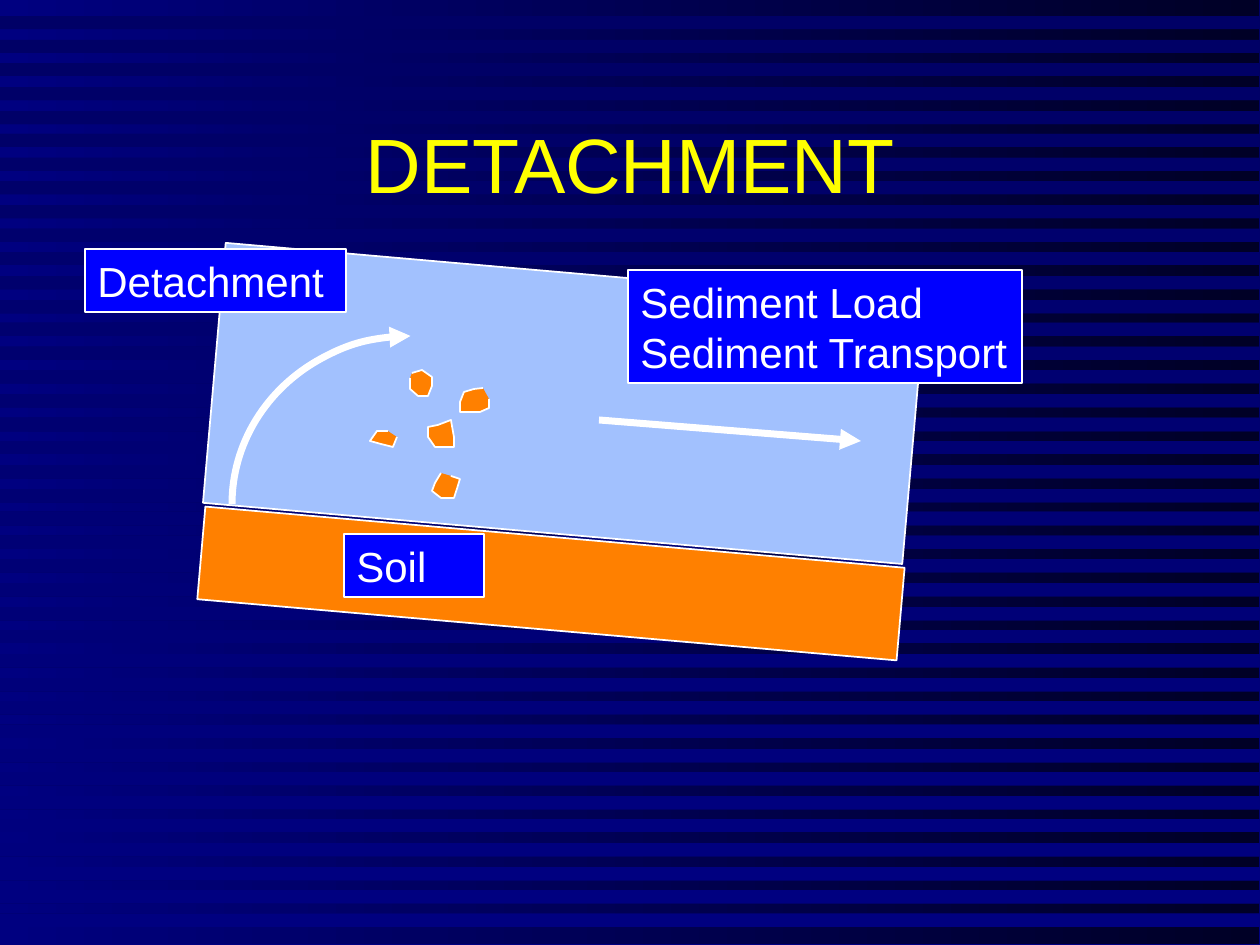
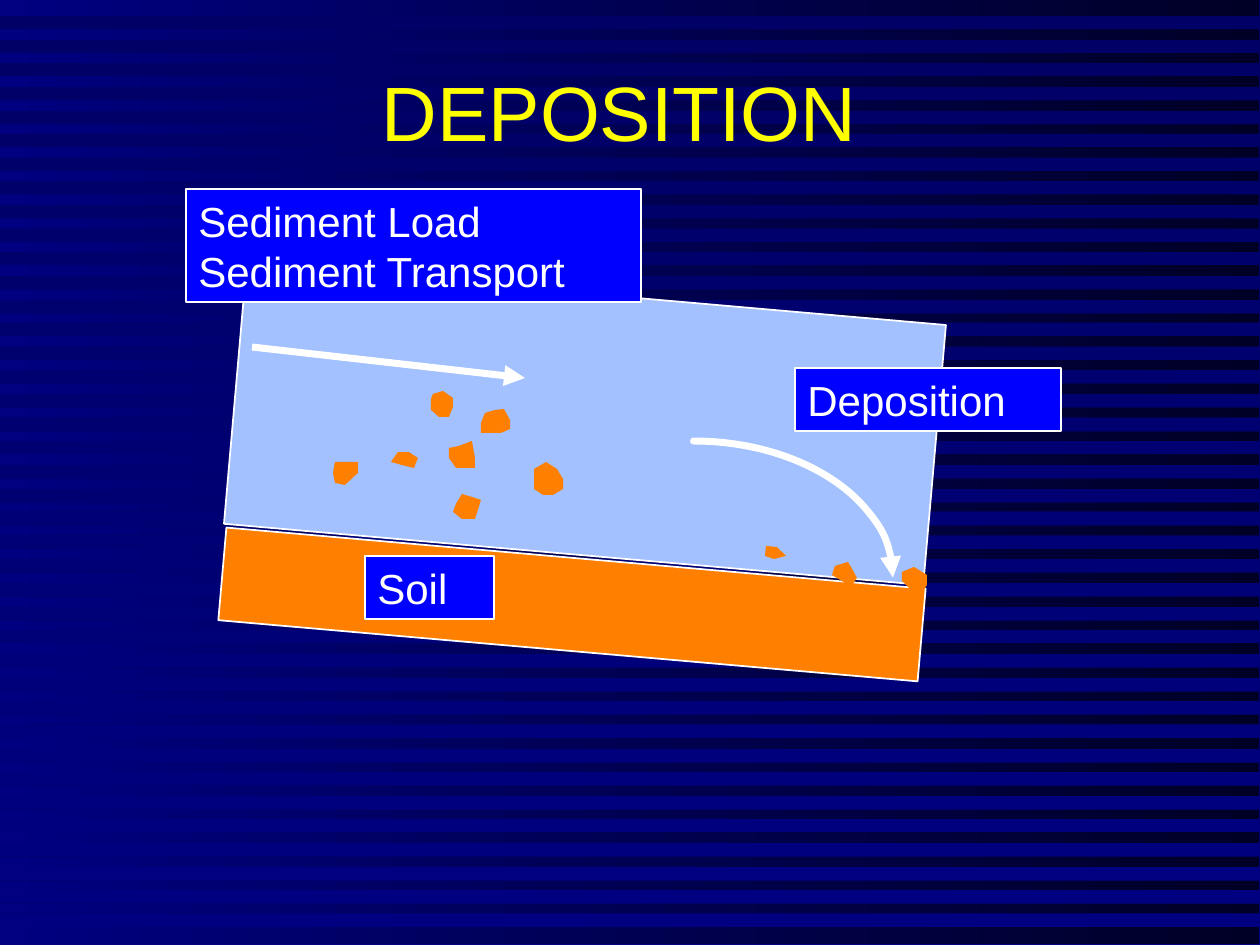
import pptx
import pptx.dml.color
import pptx.enum.shapes
import pptx.enum.text
import pptx.oxml
import pptx.oxml.ns
import pptx.util

# Shared look
PAGE_WIDTH, PAGE_HEIGHT = 1260, 945
SCALE = 914400 / 126
NAVY, DEEP_BLUE, NIGHT = "000080", "000066", "000026"
SOIL, WATER, LABEL = "FF8000", "A2C1FE", "0000FF"
WHITE, YELLOW = "FFFFFF", "FFFF00"
TITLE_SIZE = (1071, 158)
TILT = 5
BAND_TOP, BAND_STEP, BAND_HEIGHT, BAND_COUNT = 16, 23.63, 13, 39

# Flow section and floating particles, common to both slides
LAYERS = [(SOIL, (200, 537, 702, 93)), (WATER, (213, 273, 702, 261))]
FLOATING = [
    [(388, 431), (377, 431), (370, 441), (381, 444), (393, 447), (397, 437)],
    [(410, 378), (410, 389), (418, 396), (428, 396), (432, 386), (432, 377),
     (422, 370), (412, 373)],
    [(451, 420), (438, 425), (428, 427), (428, 437), (435, 447), (445, 447),
     (454, 447), (454, 437), (451, 420)],
    [(483, 388), (474, 389), (464, 392), (460, 402), (460, 412), (470, 412),
     (480, 412), (489, 408), (489, 399)],
    [(441, 473), (435, 483), (432, 491), (441, 498), (454, 498), (457, 489),
     (460, 479), (451, 476)],
]
# Particles that only appear where sediment settles
SETTLING = [
    [(347, 462), (335, 462), (333, 473), (335, 483), (345, 485), (358, 473),
     (358, 462)],
    [(546, 462), (534, 469), (534, 479), (534, 489), (543, 495), (553, 495),
     (563, 489), (563, 479), (557, 469)],
    [(766, 546), (765, 556), (774, 559), (786, 556), (777, 547)],
    [(851, 567), (857, 578), (851, 587), (842, 581), (832, 575), (835, 566),
     (848, 562)],
    [(914, 567), (902, 572), (902, 581), (912, 591), (921, 595), (927, 585),
     (927, 575)],
]
LOAD = ["Sediment Load", "Sediment Transport"]

# Arc angles are in units of 100000/60000 degrees: 108 is left, 162 is top
PAGES = [
    {
        "title": "DETACHMENT", "title_at": (95, 84), "shift": 0,
        "labels": [(["Soil"], (344, 534, 140, 63), True),
                   (LOAD, (628, 270, 394, 113), False),
                   (["Detachment"], (85, 249, 261, 63), True)],
        "particles": [], "outline": WHITE,
        "flow": (599, 420, 861, 441),
        "arc": (232, 336, 357, 336), "angles": (108, 162), "cap": "flat",
    },
    {
        "title": "DEPOSITION", "title_at": (84, 32), "shift": 21,
        "labels": [(["Soil"], (365, 556, 129, 63), True),
                   (LOAD, (186, 189, 455, 113), True),
                   (["Deposition"], (795, 368, 266, 63), True)],
        "particles": SETTLING, "outline": None,
        "flow": (252, 347, 525, 378),
        "arc": (494, 441, 399, 273), "angles": (162, 0), "cap": "rnd",
    },
]


def emu(*lengths):
    return [pptx.util.Emu(round(length * SCALE)) for length in lengths]


def color(code):
    return pptx.dml.color.RGBColor.from_string(code)


def set_all(target, values):
    for name, value in values.items():
        setattr(target, name, value)


def set_gradient(fill, first, last, angle):
    fill.gradient()
    fill.gradient_angle = angle
    for stop, code, position in zip(fill.gradient_stops, (first, last), (0, 1)):
        stop.color.rgb = color(code)
        stop.position = position


def paint(shape, fill=None, line=None, width=1):
    shape.shadow.inherit = False
    if fill:
        shape.fill.solid()
        shape.fill.fore_color.rgb = color(fill)
    else:
        shape.fill.background()
    if line:
        shape.line.color.rgb = color(line)
        shape.line.width = pptx.util.Pt(width)
    else:
        shape.line.fill.background()


def add_box(page, place, fill=None, line=None, kind="RECTANGLE", width=1):
    preset = getattr(pptx.enum.shapes.MSO_SHAPE, kind)
    box = page.shapes.add_shape(preset, *emu(*place))
    paint(box, fill, line, width)
    return box


def add_outline(page, points, close):
    builder = page.shapes.build_freeform(*points[0], scale=SCALE)
    builder.add_line_segments(points[1:], close=close)
    return builder.convert_to_shape()


def add_arrowhead(shape, cap="flat"):
    line = shape.line._get_or_add_ln()
    line.set("cap", cap)
    tail = pptx.oxml.parse_xml(
        f'<a:tailEnd {pptx.oxml.ns.nsdecls("a")} type="triangle"/>')
    line.append(tail)


def write(frame, lines, size, code, align):
    for index, text in enumerate(lines):
        para = frame.paragraphs[0] if index == 0 else frame.add_paragraph()
        para.alignment = align
        span = para.add_run()
        span.text = text
        set_all(span.font, {"name": "Arial", "size": pptx.util.Pt(size)})
        span.font.color.rgb = color(code)


def add_label(page, lines, place, wrap):
    box = add_box(page, place, LABEL, WHITE)
    set_all(box.text_frame, {
        "word_wrap": wrap,
        "vertical_anchor": pptx.enum.text.MSO_ANCHOR.TOP,
        "auto_size": pptx.enum.text.MSO_AUTO_SIZE.SHAPE_TO_FIT_TEXT,
    })
    write(box.text_frame, lines, 24, WHITE, pptx.enum.text.PP_ALIGN.LEFT)


def dress_master(deck, page):
    """Draw the striped backdrop and move it behind everything on the master."""
    master = deck.slide_master
    set_gradient(master.background.fill, DEEP_BLUE, NAVY, 270)
    backdrop = add_box(page, (0, 0, PAGE_WIDTH - 1, PAGE_HEIGHT - 1))
    set_gradient(backdrop.fill, NIGHT, NAVY, 180)
    edge = []
    for index in range(BAND_COUNT):
        top = round(BAND_TOP + index * BAND_STEP)
        bottom = top + BAND_HEIGHT
        edge += [(PAGE_WIDTH, top), (0, top), (0, bottom), (PAGE_WIDTH, bottom)]
    bands = add_outline(page, edge, True)
    paint(bands)
    set_gradient(bands.fill, DEEP_BLUE, NAVY, 270)
    for index, shape in enumerate((backdrop, bands)):
        master.shapes.element.insert(2 + index, shape.element)


def add_title(page, text, place):
    title = page.shapes.title
    left, top, width, height = emu(*place, *TITLE_SIZE)
    set_all(title, {"left": left, "top": top, "width": width, "height": height})
    set_all(title.text_frame, {
        "word_wrap": True,
        "vertical_anchor": pptx.enum.text.MSO_ANCHOR.MIDDLE,
        "auto_size": pptx.enum.text.MSO_AUTO_SIZE.NONE,
    })
    write(title.text_frame, [text], 44, YELLOW, pptx.enum.text.PP_ALIGN.CENTER)


def draw_page(page, content):
    shift = content["shift"]
    add_title(page, content["title"], content["title_at"])

    # Tilted soil and water
    for fill, (left, top, width, height) in LAYERS:
        layer = add_box(page, (left + shift, top + shift, width, height), fill, WHITE)
        layer.rotation = TILT

    # Sediment particles
    moved = [[(x + shift, y + shift) for x, y in points] for points in FLOATING]
    for points in moved + content["particles"]:
        paint(add_outline(page, points, False), SOIL, content["outline"])

    # Flow arrow and curved arrow
    flow = page.shapes.add_connector(
        pptx.enum.shapes.MSO_CONNECTOR.STRAIGHT, *emu(*content["flow"]))
    flow.line.color.rgb = color(WHITE)
    flow.line.width = pptx.util.Pt(4)
    add_arrowhead(flow)
    flow.element.spPr.append(pptx.oxml.parse_xml(
        f'<a:effectLst {pptx.oxml.ns.nsdecls("a")}/>'))
    arc = add_box(page, content["arc"], line=WHITE, kind="ARC", width=4)
    for index, angle in enumerate(content["angles"]):
        arc.adjustments[index] = angle
    add_arrowhead(arc, content["cap"])

    for lines, place, wrap in content["labels"]:
        add_label(page, lines, place, wrap)


def main():
    deck = pptx.Presentation()
    deck.slide_width, deck.slide_height = emu(PAGE_WIDTH, PAGE_HEIGHT)
    title_only = deck.slide_layouts[5]
    for index, content in enumerate(PAGES):
        page = deck.slides.add_slide(title_only)
        if index == 0:
            dress_master(deck, page)
        draw_page(page, content)
    deck.save("out.pptx")


if __name__ == "__main__":
    main()
